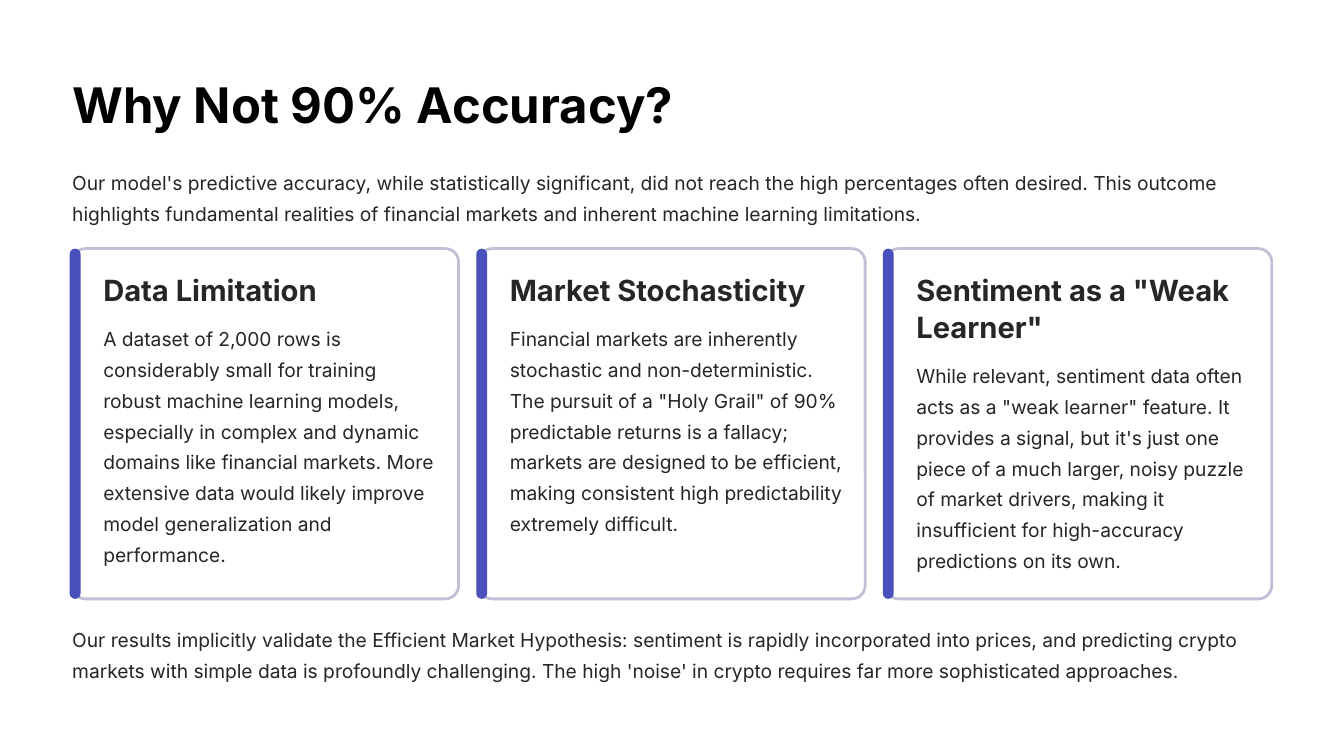
from dataclasses import dataclass

from pptx import Presentation, util as u
from pptx.dml import color
from pptx.enum import shapes, text

HUES = {"paper": "FFFFFF", "title": "000000", "ink": "272525",
        "edge": "C0C1D7", "bar": "4950BC"}
WIDE, HIGH = u.Inches(16), u.Inches(9)
COL, ROW = WIDE / 16, HIGH / 9
LEFT, SPAN = 0.86, 14.28
TOP, TALL = 2.96, 4.17
CARD, STEP = 4.6, 4.84
INSET, INNER = 0.37, 3.97


@dataclass
class Area:
    col: float
    row: float
    cols: float
    rows: float

    def box(self) -> tuple:
        return (u.Emu(round(self.col * COL)), u.Emu(round(self.row * ROW)),
                u.Emu(round(self.cols * COL)), u.Emu(round(self.rows * ROW)))


@dataclass
class Style:
    size: float
    line: float
    hue: str
    bold: bool = False


@dataclass
class Card:
    head: str
    body: str
    lines: int
    rows: float


TITLE = Style(42, 52.5, "title", True)
HEAD = Style(25, 31.5, "ink", True)
BODY = Style(16.5, 26.5, "ink")

CARDS = [
    Card("Data Limitation",
         "A dataset of 2,000 rows is considerably small for training robust "
         "machine learning models, especially in complex and dynamic domains "
         "like financial markets. More extensive data would likely improve "
         "model generalization and performance.", 1, 2.99),
    Card("Market Stochasticity",
         "Financial markets are inherently stochastic and non-deterministic. "
         "The pursuit of a \"Holy Grail\" of 90% predictable returns is a "
         "fallacy; markets are designed to be efficient, making consistent "
         "high predictability extremely difficult.", 1, 2.62),
    Card("Sentiment as a \"Weak Learner\"",
         "While relevant, sentiment data often acts as a \"weak learner\" "
         "feature. It provides a signal, but it's just one piece of a much "
         "larger, noisy puzzle of market drivers, making it insufficient for "
         "high-accuracy predictions on its own.", 2, 2.62),
]
INTRO = ("Our model's predictive accuracy, while statistically significant, "
         "did not reach the high percentages often desired. This outcome "
         "highlights fundamental realities of financial markets and inherent "
         "machine learning limitations.")
CLOSE = ("Our results implicitly validate the Efficient Market Hypothesis: "
         "sentiment is rapidly incorporated into prices, and predicting "
         "crypto markets with simple data is profoundly challenging. The high "
         "'noise' in crypto requires far more sophisticated approaches.")


def tint(name: str) -> color.RGBColor:
    return color.RGBColor.from_string(HUES[name])


def fill_text(shape, words: str, style: Style, wrap: bool = True) -> None:
    frame = shape.text_frame
    frame.margin_left = frame.margin_right = 0
    frame.margin_top = frame.margin_bottom = 0
    frame.auto_size = text.MSO_AUTO_SIZE.NONE
    frame.vertical_anchor = text.MSO_ANCHOR.TOP
    frame.word_wrap = wrap
    para = frame.paragraphs[0]
    para.alignment = text.PP_ALIGN.LEFT
    para.line_spacing = u.Pt(style.line)
    run = para.add_run()
    run.text = words
    font = run.font
    font.name, font.size, font.bold = "Inter", u.Pt(style.size), style.bold
    font.color.rgb = tint(style.hue)


def add_text(slide, area: Area, words: str, style: Style) -> None:
    fill_text(slide.shapes.add_textbox(*area.box()), words, style)


def add_panel(slide, area: Area, curve: float, hue: str, edge: str = "") -> None:
    panel = slide.shapes.add_shape(
        shapes.MSO_SHAPE.ROUNDED_RECTANGLE, *area.box())
    panel.adjustments[0] = curve
    panel.shadow.inherit = False
    panel.fill.solid()
    panel.fill.fore_color.rgb = tint(hue)
    if edge:
        panel.line.color.rgb = tint(edge)
        panel.line.width = u.Pt(2.4)
    else:
        panel.line.fill.background()


def add_card(slide, card: Card, left: float) -> None:
    add_panel(slide, Area(left, TOP, CARD, TALL), 0.038, "paper", "edge")
    add_panel(slide, Area(left - 0.03, TOP, 0.13, TALL), 0.5, "bar")
    deep = 0.44 * card.lines
    add_text(slide, Area(left + INSET, 3.22, INNER, deep), card.head, HEAD)
    add_text(slide, Area(left + INSET, 3.36 + deep, INNER, card.rows),
             card.body, BODY)


def main() -> None:
    deck = Presentation()
    deck.slide_width, deck.slide_height = WIDE, HIGH
    slide = deck.slides.add_slide(deck.slide_layouts[5])
    slide.background.fill.solid()
    slide.background.fill.fore_color.rgb = tint("paper")
    title = slide.shapes.title
    title.left, title.top, title.width, title.height = Area(
        LEFT, 0.86, 7.17, 0.73).box()
    fill_text(title, "Why Not 90% Accuracy?", TITLE, False)
    add_text(slide, Area(LEFT, 1.95, SPAN, 0.75), INTRO, BODY)
    for spot, card in enumerate(CARDS):
        add_card(slide, card, LEFT + spot * STEP)
    add_text(slide, Area(LEFT, 7.39, SPAN, 0.75), CLOSE, BODY)
    deck.save("out.pptx")


if __name__ == "__main__":
    main()
